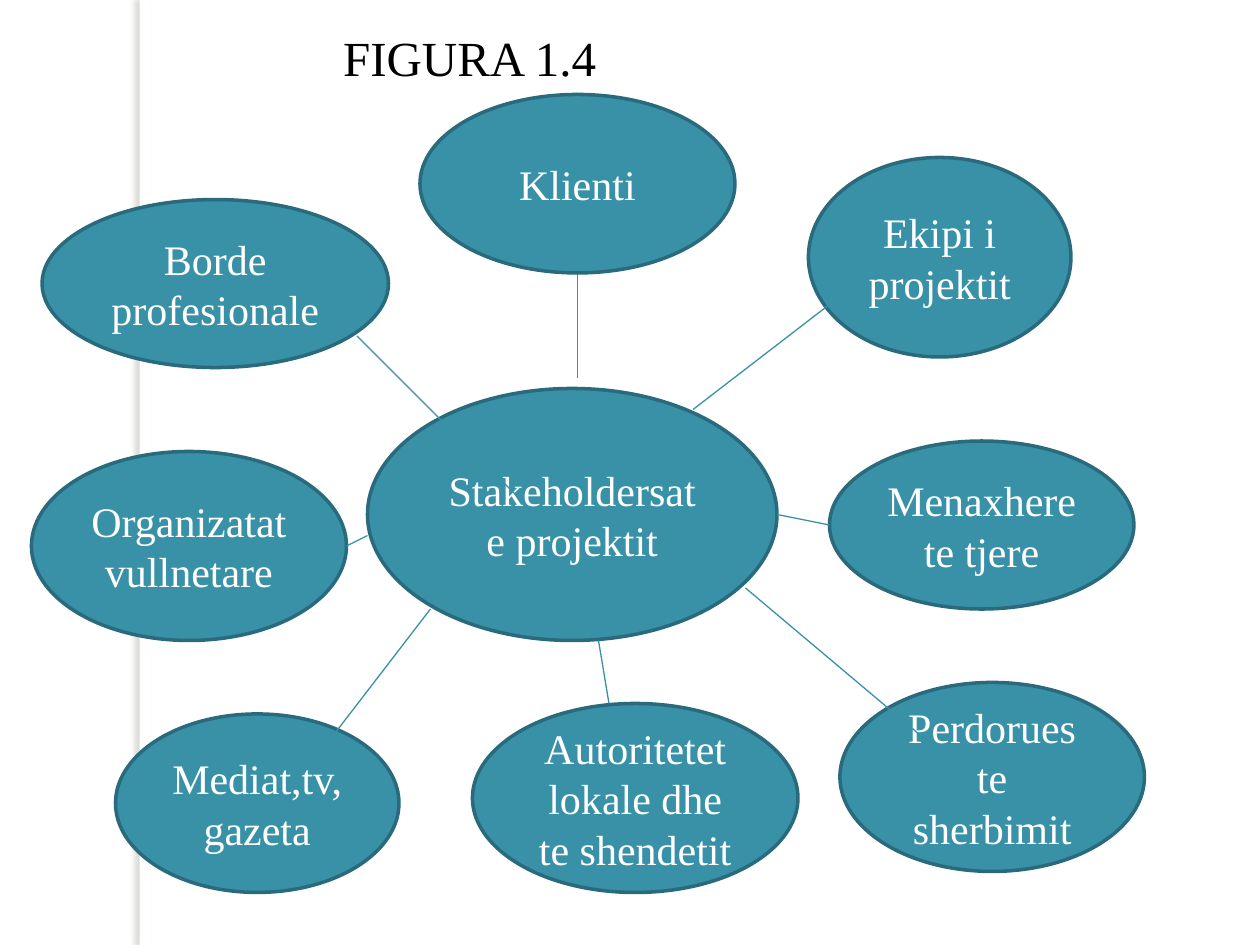
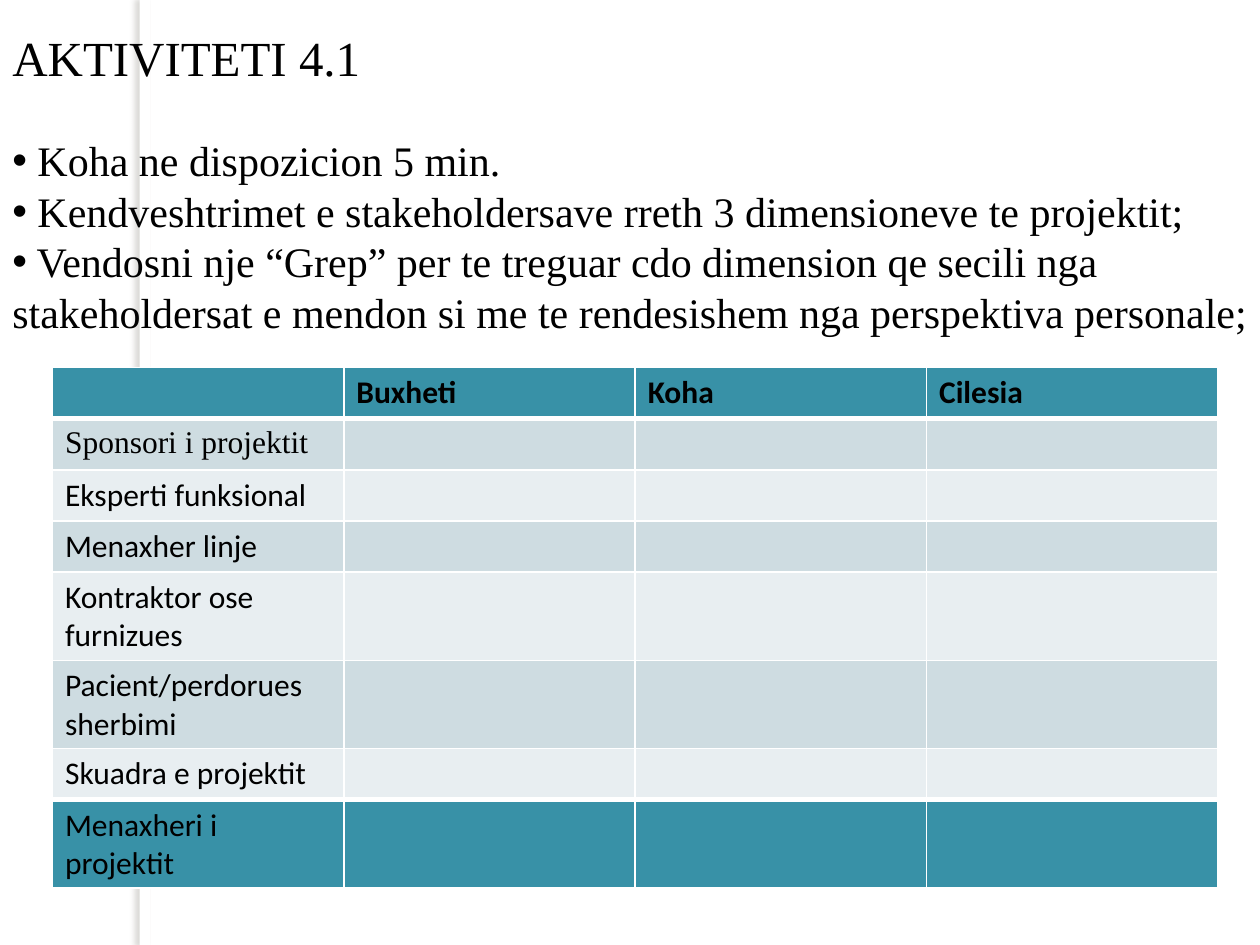
from dataclasses import dataclass

from lxml.etree import SubElement as Sub
from pptx import Presentation as Deck
from pptx.dml.color import RGBColor as Rgb
from pptx.enum.shapes import MSO_CONNECTOR as Wire, MSO_SHAPE as Form
from pptx.enum.text import MSO_ANCHOR as Anchor, PP_ALIGN as Align
from pptx.oxml.ns import qn
from pptx.util import Emu, Pt

SCALE = 7620  # EMU in one px, 120 px to the inch


@dataclass(frozen=True)
class Theme:
    teal: str = "3891A7"
    edge: str = "296B7C"
    white: str = "FFFFFF"
    black: str = "000000"
    shade: str = "736F63"
    dark: str = "CEDCE1"
    light: str = "E8EEF1"
    serif: str = "Times New Roman"
    sans: str = "Calibri"
    title: int = 28
    body: int = 24
    cell: int = 18


THEME = Theme()

HUB = ("Stakeholdersat e projektit", 350, 370, 390, 240)
NODES = [
    ("Klienti", 400, 90, 300, 170),
    ("Ekipi i projektit", 770, 150, 250, 190),
    ("Menaxhere te tjere", 790, 420, 290, 160),
    ("Autoritetet lokale dhe te shendetit", 450, 670, 310, 180),
    ("Perdorues te sherbimit", 800, 650, 290, 180),
    ("Borde profesionale", 40, 190, 330, 160),
    ("Organizatat vullnetare", 30, 430, 300, 180),
    ("Mediat,tv,\ngazeta", 110, 680, 270, 170),
]
STEM = (550, 230, 550, 360)
SPOKES = [
    (340, 320, 500, 480),
    (570, 610, 580, 670),
    (660, 390, 790, 290),
    (740, 490, 790, 500),
    (330, 520, 350, 510),
    (410, 580, 310, 710),
    (710, 560, 900, 720),
]
POINTS = [
    " Koha ne dispozicion 5 min.",
    " Kendveshtrimet e stakeholdersave rreth 3 dimensioneve te projektit;",
    " Vendosni nje “Grep” per te treguar cdo dimension qe secili nga "
    "stakeholdersat e mendon si me te rendesishem nga perspektiva personale;",
]
HEADS = ["", "Buxheti", "Koha", "Cilesia"]
ROLES = [
    "Sponsori i projektit",
    "Eksperti funksional",
    "Menaxher linje",
    "Kontraktor ose furnizues",
    "Pacient/perdorues sherbimi",
    "Skuadra e projektit",
    "Menaxheri i projektit",
]


def px(*sizes):
    return [Emu(size * SCALE) for size in sizes]


def hue(code):
    return Rgb.from_string(code)


def style(para, size, color, face=THEME.serif, bold=False):
    font = para.font
    font.size, font.name, font.bold = Pt(size), face, bold
    font.color.rgb = hue(color)


def add_form(slide, kind, box, fill):
    form = slide.shapes.add_shape(kind, *px(*box))
    form.shadow.inherit = False
    form.fill.solid()
    form.fill.fore_color.rgb = hue(fill)
    return form


def add_band(slide):
    """Narrow white strip with a soft shadow on its left."""
    band = add_form(slide, Form.RECTANGLE, (133, 0, 10, 900), THEME.white)
    band.line.fill.background()
    glow = band._element.spPr.find(qn("a:effectLst"))
    cast = Sub(glow, qn("a:outerShdw"), blurRad=str(Pt(3)), dist=str(Pt(3)),
               dir="10800000", algn="tl", rotWithShape="0")
    tint = Sub(cast, qn("a:srgbClr"), val=THEME.shade)
    Sub(tint, qn("a:alpha"), val="25000")


def add_slide(deck):
    slide = deck.slides.add_slide(deck.slide_layouts[6])
    add_band(slide)
    return slide


def add_title(slide, text, box, indent=0):
    """Text box that opens with the title; returns its frame."""
    frame = slide.shapes.add_textbox(*px(*box)).text_frame
    frame.word_wrap = True
    para = frame.paragraphs[0]
    para.text = text
    para._p.get_or_add_pPr().set("marL", str(indent * SCALE))
    style(para, THEME.title, THEME.black)
    return frame


def add_point(frame, text):
    para = frame.add_paragraph()
    para.text = text
    props = para._p.get_or_add_pPr()
    props.set("marL", "0")
    props.set("indent", "0")
    Sub(props, qn("a:buFont"), typeface="Arial")
    Sub(props, qn("a:buChar"), char="•")
    style(para, THEME.body, THEME.black)


def add_node(slide, text, *box):
    node = add_form(slide, Form.OVAL, box, THEME.teal)
    node.line.color.rgb = hue(THEME.edge)
    node.line.width = Pt(2)
    frame = node.text_frame
    frame.word_wrap = True
    frame.vertical_anchor = Anchor.MIDDLE
    frame.text = text
    for para in frame.paragraphs:
        para.alignment = Align.CENTER
        style(para, THEME.body, THEME.white)


def add_spoke(slide, *ends):
    spoke = slide.shapes.add_connector(Wire.STRAIGHT, *px(*ends))
    spoke.line.color.rgb = hue(THEME.teal)
    spoke.line.width = Pt(0.75)
    Sub(spoke._element.spPr, qn("a:effectLst"))


def set_cell(cell, text, fill, face, bold, top, base):
    # Borders come before the fill in the cell properties
    props = cell._tc.get_or_add_tcPr()
    for side, width in (("L", 1), ("R", 1), ("T", top), ("B", base)):
        line = Sub(props, qn(f"a:ln{side}"), w=str(Pt(width)))
        Sub(Sub(line, qn("a:solidFill")), qn("a:srgbClr"), val=THEME.white)
    cell.fill.solid()
    cell.fill.fore_color.rgb = hue(fill)
    cell.text = text
    style(cell.text_frame.paragraphs[0], THEME.cell, THEME.black, face, bold)


def add_grid(slide, rows, box):
    """Table with strong first and last rows and banded rows between."""
    grid = slide.shapes.add_table(len(rows), len(rows[0]), *px(*box)).table
    grid.first_row = grid.horz_banding = False
    last = len(rows) - 1
    for r, row in enumerate(rows):
        band = THEME.dark if r % 2 else THEME.light
        fill = THEME.teal if r in (0, last) else band
        face = THEME.serif if r == 1 else THEME.sans
        top = 3 if r in (1, last) else 1
        base = 3 if r in (0, last - 1) else 1
        for c, text in enumerate(row):
            set_cell(grid.cell(r, c), text, fill, face, r == 0, top, base)


def draw_map(deck):
    slide = add_slide(deck)
    add_title(slide, "FIGURA 1.4", (0, 20, 1130, 68), indent=315)
    add_node(slide, *HUB)
    add_spoke(slide, *STEM)  # its upper end lies under the top node
    for node in NODES:
        add_node(slide, *node)
    for spoke in SPOKES:
        add_spoke(slide, *spoke)


def draw_task(deck):
    slide = add_slide(deck)
    frame = add_title(slide, "AKTIVITETI 4.1", (0, 20, 1200, 456))
    frame.paragraphs[0].space_after = Pt(28)
    for point in POINTS:
        add_point(frame, point)
    blank = [""] * (len(HEADS) - 1)
    rows = [HEADS] + [[role] + blank for role in ROLES]
    add_grid(slide, rows, (50, 350, 1110, 390))


def main():
    deck = Deck()
    deck.slide_width, deck.slide_height = px(1200, 900)
    draw_map(deck)
    draw_task(deck)
    deck.save("out.pptx")


if __name__ == "__main__":
    main()
